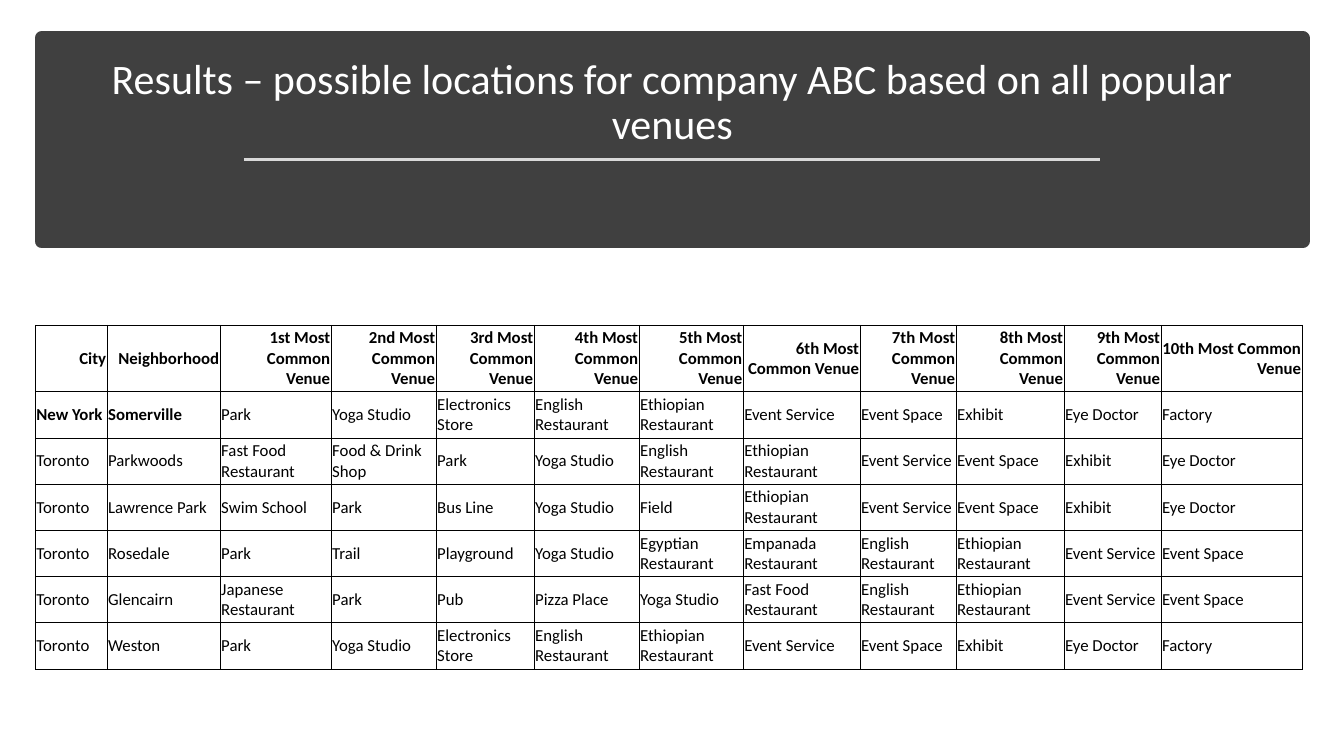
"""Build the slide listing candidate locations by their most common venues."""
from dataclasses import dataclass

from lxml import etree
from pptx import Presentation
from pptx.dml.color import RGBColor
from pptx.enum.shapes import MSO_CONNECTOR, MSO_SHAPE
from pptx.enum.text import MSO_ANCHOR, MSO_AUTO_SIZE, PP_ALIGN
from pptx.oxml.ns import qn
from pptx.slide import Slide
from pptx.table import _Cell
from pptx.text.text import _Paragraph
from pptx.util import Pt

RECTANGLE = MSO_SHAPE.RECTANGLE
STRAIGHT = MSO_CONNECTOR.STRAIGHT
MIDDLE, BOTTOM = MSO_ANCHOR.MIDDLE, MSO_ANCHOR.BOTTOM
LEFT, CENTER, RIGHT = PP_ALIGN.LEFT, PP_ALIGN.CENTER, PP_ALIGN.RIGHT
NO_AUTOFIT = MSO_AUTO_SIZE.NONE

COLORS = {"band": "404040", "rule": "D9D9D9", "paper": "FFFFFF", "ink": "000000"}
FONT = "Calibri"
TITLE = "Results – possible locations for company ABC based on all popular venues"
COLUMN_WIDTHS = [51.2, 80.8, 79.3, 75, 70, 75, 74.4, 83.5, 68.6, 77.1, 69.3, 100.8]
HEADER_HEIGHT, ROW_HEIGHT = 47.4, 33.05
CELL_MARGIN = 0.75
ORDINALS = ["1st", "2nd", "3rd"] + [f"{rank}th" for rank in range(4, 11)]
HEADERS = ["City", "Neighborhood"] + [f"{rank} Most Common Venue" for rank in ORDINALS]


@dataclass(frozen=True)
class Location:
    """A neighborhood with its venues in order of frequency."""
    city: str
    neighborhood: str
    venues: tuple[str, ...]
    best: bool = False


SOMERVILLE_VENUES = ("Park", "Yoga Studio", "Electronics Store", "English Restaurant",
                     "Ethiopian Restaurant", "Event Service", "Event Space", "Exhibit",
                     "Eye Doctor", "Factory")
EVENT_TAIL = ("Ethiopian Restaurant", "Event Service", "Event Space", "Exhibit", "Eye Doctor")
RESTAURANT_TAIL = ("English Restaurant", "Ethiopian Restaurant", "Event Service", "Event Space")
LOCATIONS = [
    Location("New York", "Somerville", SOMERVILLE_VENUES, best=True),
    Location("Toronto", "Parkwoods", ("Fast Food Restaurant", "Food & Drink Shop", "Park",
                                      "Yoga Studio", "English Restaurant") + EVENT_TAIL),
    Location("Toronto", "Lawrence Park", ("Swim School", "Park", "Bus Line",
                                          "Yoga Studio", "Field") + EVENT_TAIL),
    Location("Toronto", "Rosedale", ("Park", "Trail", "Playground", "Yoga Studio",
                                     "Egyptian Restaurant", "Empanada Restaurant")
             + RESTAURANT_TAIL),
    Location("Toronto", "Glencairn", ("Japanese Restaurant", "Park", "Pub", "Pizza Place",
                                      "Yoga Studio", "Fast Food Restaurant")
             + RESTAURANT_TAIL),
    Location("Toronto", "Weston", SOMERVILLE_VENUES),
]


def color(name: str) -> RGBColor:
    """Return the named colour."""
    return RGBColor.from_string(COLORS[name])


def format_text(para: _Paragraph, size: float, ink: str, align: PP_ALIGN,
                bold: bool = False) -> None:
    """Align a paragraph and format its runs."""
    para.alignment = align
    for span in para.runs:
        span.font.name = FONT
        span.font.size = Pt(size)
        span.font.bold = bold
        span.font.color.rgb = color(ink)


def add_heading(page: Slide) -> None:
    """Draw the dark band with the title and the rule on it."""
    title = page.shapes.title
    title.left, title.top, title.width, title.height = Pt(41.8), Pt(36.7), Pt(877), Pt(73.4)
    frame = title.text_frame
    frame.text = TITLE
    frame.word_wrap = True
    frame.auto_size = NO_AUTOFIT
    frame.vertical_anchor = BOTTOM
    para = frame.paragraphs[0]
    para.line_spacing = 0.9
    format_text(para, 30, "paper", CENTER)

    band = page.shapes.add_shape(RECTANGLE, Pt(29.7), Pt(27.2), Pt(900.7), Pt(145.2))
    band.shadow.inherit = False
    band.fill.solid()
    band.fill.fore_color.rgb = color("band")
    band.line.color.rgb = color("band")
    band.line.width = Pt(10)
    title.element.addprevious(band.element)

    rule = page.shapes.add_connector(STRAIGHT, Pt(174.3), Pt(113.8), Pt(786), Pt(113.8))
    rule.line.color.rgb = color("rule")
    rule.line.width = Pt(1.75)
    etree.SubElement(rule.element.spPr, qn("a:effectLst"))


def add_borders(cell: _Cell) -> None:
    """Give a cell a thin line on all four sides."""
    properties = cell._tc.get_or_add_tcPr()
    for side in ("lnL", "lnR", "lnT", "lnB"):
        line = etree.SubElement(properties, qn(f"a:{side}"), w=str(Pt(0.75)))
        fill = etree.SubElement(line, qn("a:solidFill"))
        etree.SubElement(fill, qn("a:srgbClr"), val=COLORS["ink"])


def fill_cell(cell: _Cell, text: str, align: PP_ALIGN, bold: bool) -> None:
    """Write and format one table cell."""
    add_borders(cell)
    cell.fill.solid()
    cell.fill.fore_color.rgb = color("paper")
    cell.margin_left = cell.margin_right = Pt(CELL_MARGIN)
    cell.margin_top = cell.margin_bottom = Pt(CELL_MARGIN)
    cell.vertical_anchor = MIDDLE
    cell.text_frame.text = text
    format_text(cell.text_frame.paragraphs[0], 12, "ink", align, bold)


def add_venue_table(page: Slide) -> None:
    """Add the table of locations and venues."""
    heights = [HEADER_HEIGHT] + [ROW_HEIGHT] * len(LOCATIONS)
    table = page.shapes.add_table(len(heights), len(HEADERS), Pt(25.3), Pt(232.4),
                                  Pt(sum(COLUMN_WIDTHS)), Pt(sum(heights))).table
    table.horz_banding = False
    for column, width in zip(table.columns, COLUMN_WIDTHS):
        column.width = Pt(width)
    for row, height in zip(table.rows, heights):
        row.height = Pt(height)
    for index, header in enumerate(HEADERS):
        fill_cell(table.cell(0, index), header, RIGHT, True)
    for row_index, place in enumerate(LOCATIONS, start=1):
        for index, text in enumerate((place.city, place.neighborhood) + place.venues):
            fill_cell(table.cell(row_index, index), text, LEFT, place.best and index < 2)


def main() -> None:
    """Build and save the deck."""
    deck = Presentation()
    deck.slide_width, deck.slide_height = Pt(960), Pt(540)
    page = deck.slides.add_slide(deck.slide_layouts.get_by_name("Title Only"))
    add_heading(page)
    add_venue_table(page)
    deck.save("out.pptx")


if __name__ == "__main__":
    main()
